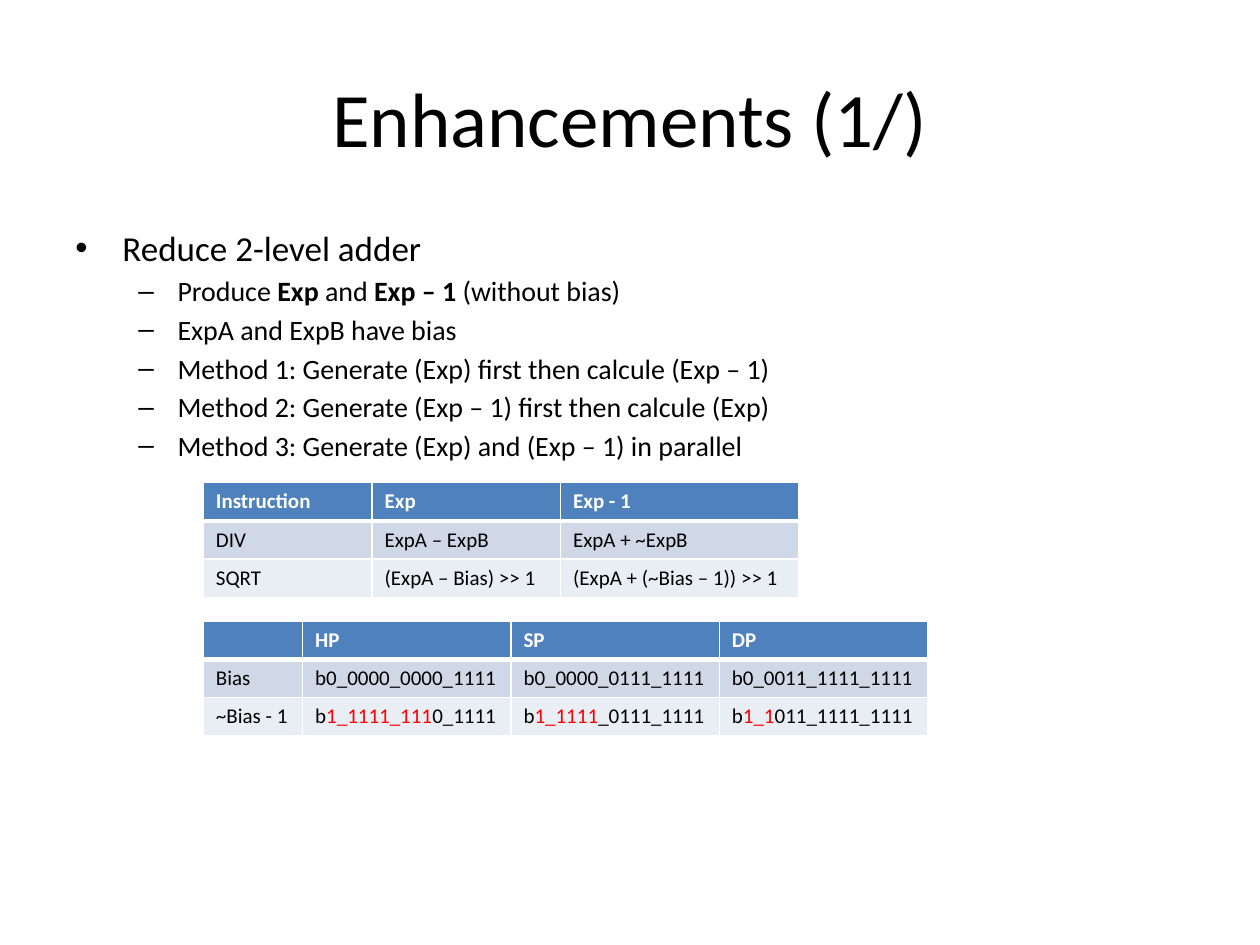
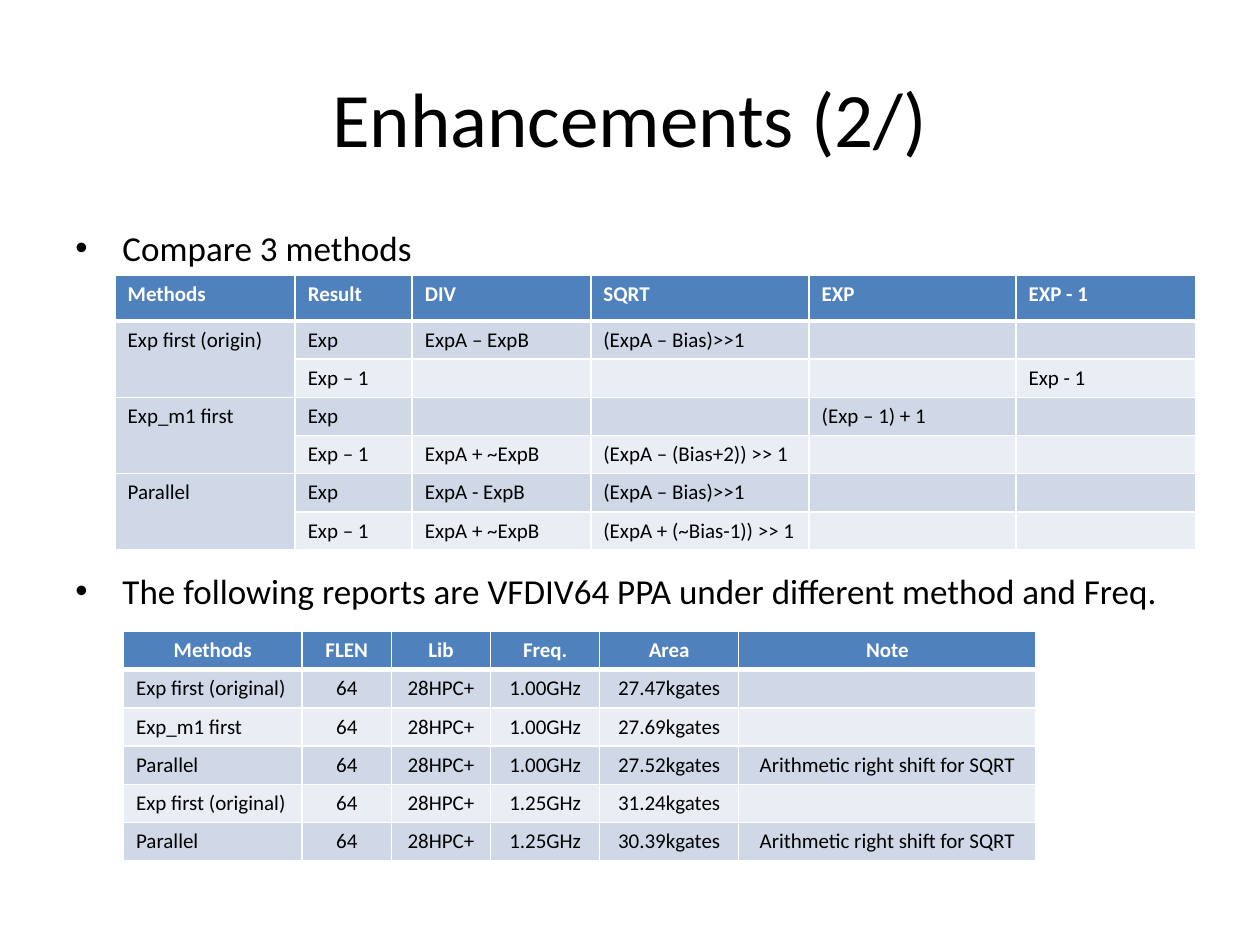
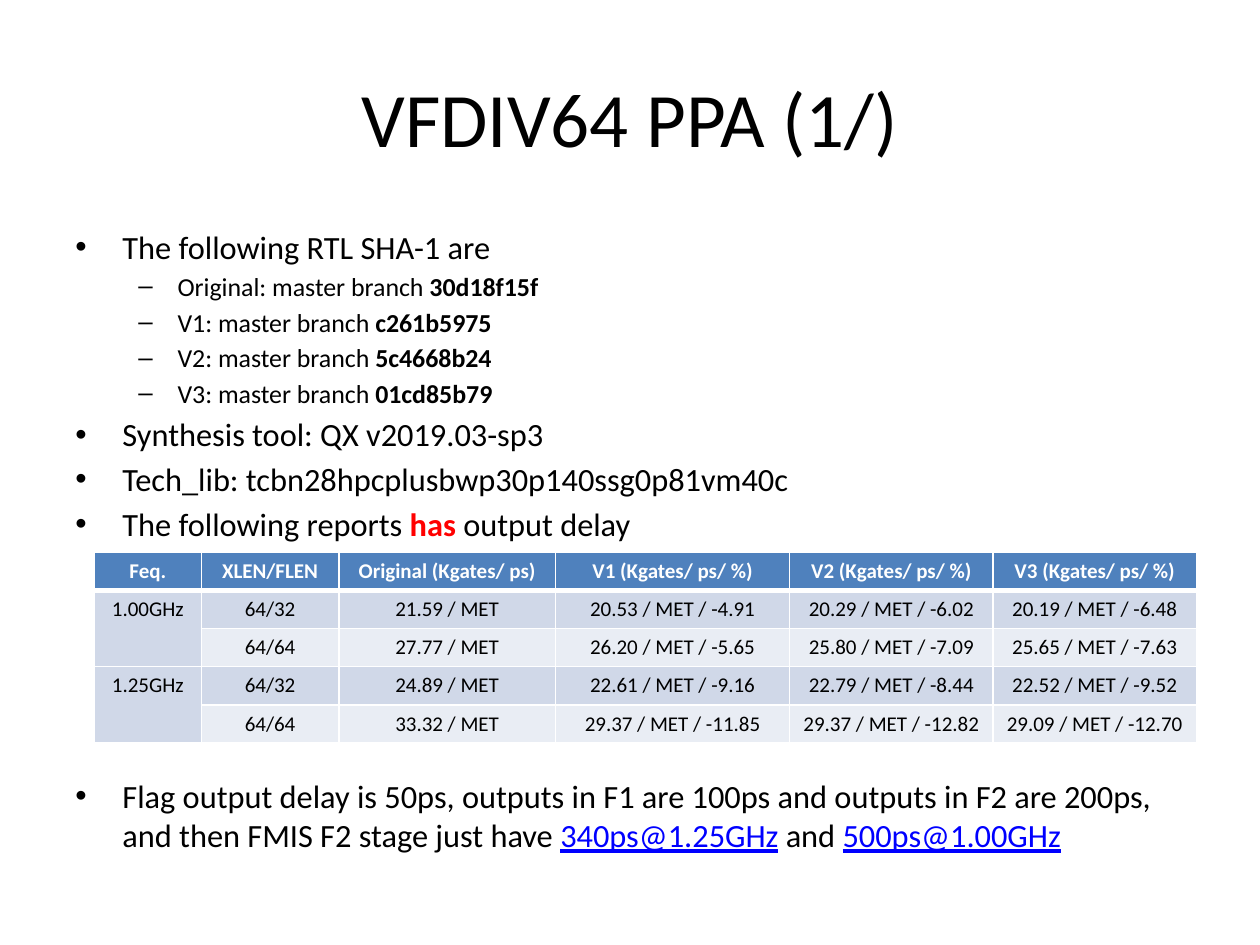
from lxml import etree
from pptx import Presentation
from pptx import util as u
from pptx.dml.color import RGBColor
from pptx.enum import text
from pptx.oxml import ns

COLORS = {"ink": "000000", "paper": "FFFFFF", "alert": "FF0000", "mark": "0000FF",
          "header": "4F81BD", "odd": "D0D8E8", "even": "E9EDF4"}
FONT = "Calibri"
STYLES = {
    "bold": {"bold": True},
    "red": {"color": "alert"},
    "bold red": {"bold": True, "color": "alert"},
    "underlined": {"underline": True, "color": "mark"},
}
# Bullet sign, left margin and hanging indent in cm, share of the main text size
LEVELS = [("•", 0.95, 0.95, 1), ("–", 2.06, 0.79, 0.8)]
SPACE_BEFORE = 0.18
CELL_SIZE = 12
ROW_HEIGHT = 0.77


def add_xml(parent, tag, **attributes):
    return etree.SubElement(parent, ns.qn(tag), attributes)


class Deck:
    def __init__(self):
        self.prs = Presentation()
        self.prs.slide_width, self.prs.slide_height = u.Cm(25.4), u.Cm(19.05)
        self.slide = None

    def add_runs(self, paragraph, content, **base):
        """Content is a string or a list of strings and (text, style) pairs."""
        for part in [content] if isinstance(content, str) else content:
            words, style = (part, None) if isinstance(part, str) else part
            run = paragraph.add_run()
            run.text = words
            look = {"name": FONT, "color": "ink", "bold": False, **base, **STYLES.get(style, {})}
            run.font.color.rgb = RGBColor.from_string(COLORS[look.pop("color")])
            for key, value in look.items():
                setattr(run.font, key, value)

    def add_slide(self, heading):
        self.slide = self.prs.slides.add_slide(self.prs.slide_layouts[5])
        title = self.slide.shapes.title
        place = {"left": 1.27, "top": 0.76, "width": 22.86, "height": 3.18}
        for key, value in place.items():
            setattr(title, key, u.Cm(value))
        title.text_frame.vertical_anchor = text.MSO_ANCHOR.MIDDLE
        paragraph = title.text_frame.paragraphs[0]
        paragraph.alignment = text.PP_ALIGN.CENTER
        self.add_runs(paragraph, heading, size=u.Pt(44))

    def add_bullets(self, items, size, width=23.04, gaps=None):
        """Items are (level, content); gaps maps an item's index to its space before in points."""
        box = self.slide.shapes.add_textbox(u.Cm(1.27), u.Cm(4.45), u.Cm(width), u.Cm(12.57))
        frame = box.text_frame
        frame.word_wrap = True
        for index, (level, content) in enumerate(items):
            paragraph = frame.add_paragraph() if index else frame.paragraphs[0]
            sign, margin, hanging, share = LEVELS[level]
            properties = paragraph._p.get_or_add_pPr()
            properties.set("marL", str(u.Cm(margin)))
            properties.set("indent", str(-u.Cm(hanging)))
            add_xml(properties, "a:buFont", typeface="Arial")
            add_xml(properties, "a:buChar", char=sign)
            paragraph.level = level
            if index:
                space = (gaps or {}).get(index, size * share * SPACE_BEFORE)
                paragraph.space_before = u.Pt(space)
            self.add_runs(paragraph, content, size=u.Pt(size * share))

    def set_borders(self, cell, row):
        properties = cell._tc.get_or_add_tcPr()
        top, bottom = (3 if row == 1 else 1), (3 if row == 0 else 1)
        for side, points in (("L", 1), ("R", 1), ("T", top), ("B", bottom)):
            line = add_xml(properties, "a:ln" + side, w=str(u.Pt(points)))
            add_xml(add_xml(line, "a:solidFill"), "a:srgbClr", val=COLORS["paper"])

    def add_table(self, left, top, widths, rows, header_height=ROW_HEIGHT, centered_from=None):
        """Draw a banded table; None joins a cell to the one above it."""
        heights = [header_height] + [ROW_HEIGHT] * (len(rows) - 1)
        table = self.slide.shapes.add_table(
            len(rows), len(widths), u.Cm(left), u.Cm(top),
            u.Cm(sum(widths)), u.Cm(sum(heights))).table
        for column, width in zip(table.columns, widths):
            column.width = u.Cm(width)
        for r, values in enumerate(rows):
            table.rows[r].height = u.Cm(heights[r])
            band = "header" if r == 0 else "odd" if r % 2 else "even"
            for c, value in enumerate(values):
                cell = table.cell(r, c)
                self.set_borders(cell, r)
                cell.fill.solid()
                cell.fill.fore_color.rgb = RGBColor.from_string(COLORS[band])
                if value is None:
                    table.cell(r - 1, c).merge(cell)
                paragraph = cell.text_frame.paragraphs[0]
                if centered_from is not None and (r == 0 or c >= centered_from):
                    paragraph.alignment = text.PP_ALIGN.CENTER
                if value:
                    self.add_runs(paragraph, value, size=u.Pt(CELL_SIZE), bold=r == 0,
                                  color="ink" if r else "paper")
                else:
                    add_xml(paragraph._p, "a:endParaRPr", sz=str(CELL_SIZE * 100))


def add_adder_slide(deck):
    deck.add_slide("Enhancements (1/)")
    deck.add_bullets([
        (0, "Reduce 2-level adder"),
        (1, ["Produce ", ("Exp", "bold"), " and ", ("Exp – 1 ", "bold"), "(without bias)"]),
        (1, "ExpA and ExpB have bias"),
        (1, "Method 1: Generate (Exp) first then calcule (Exp – 1)"),
        (1, "Method 2: Generate (Exp – 1) first then calcule (Exp)"),
        (1, "Method 3: Generate (Exp) and (Exp – 1) in parallel"),
    ], size=20)
    deck.add_table(4.1, 12.52, [2, 4.2, 4.2, 4.2], [
        ["", "HP", "SP", "DP"],
        ["Bias", "b0_0000_0000_1111", "b0_0000_0111_1111", "b0_0011_1111_1111"],
        ["~Bias - 1", ["b", ("1_1111_111", "red"), "0_1111"],
         ["b", ("1_1111", "red"), "_0111_1111"], ["b", ("1_1", "red"), "011_1111_1111"]],
    ])
    deck.add_table(4.1, 9.73, [3.4, 3.8, 4.8], [
        ["Instruction", "Exp", "Exp - 1"],
        ["DIV", "ExpA – ExpB", "ExpA + ~ExpB"],
        ["SQRT", "(ExpA – Bias) >> 1", "(ExpA + (~Bias – 1)) >> 1"],
    ])


def add_methods_slide(deck):
    deck.add_slide("Enhancements (2/)")
    deck.add_bullets([
        (0, "Compare 3 methods"),
        (0, "The following reports are VFDIV64 PPA under different method and Freq."),
    ], size=20, gaps={1: 171.5})
    deck.add_table(2.32, 5.54, [3.63, 2.36, 3.6, 4.4, 4.17, 3.63], [
        ["Methods", "Result", "DIV", "SQRT", "EXP", "EXP - 1"],
        ["Exp first (origin)", "Exp", "ExpA – ExpB", "(ExpA – Bias)>>1", "", ""],
        [None, "Exp – 1", "", "", "", "Exp - 1"],
        ["Exp_m1 first", "Exp", "", "", "(Exp – 1) + 1", ""],
        [None, "Exp – 1", "ExpA + ~ExpB", "(ExpA – (Bias+2)) >> 1", "", ""],
        ["Parallel", "Exp", "ExpA - ExpB", "(ExpA – Bias)>>1", "", ""],
        [None, "Exp – 1", "ExpA + ~ExpB", "(ExpA + (~Bias-1)) >> 1", "", ""],
    ], header_height=0.93)
    shift_note = "Arithmetic right shift for SQRT"
    reports = [
        ("Exp first (original)", "1.00GHz", "27.47kgates", ""),
        ("Exp_m1 first", "1.00GHz", "27.69kgates", ""),
        ("Parallel", "1.00GHz", "27.52kgates", shift_note),
        ("Exp first (original)", "1.25GHz", "31.24kgates", ""),
        ("Parallel", "1.25GHz", "30.39kgates", shift_note),
    ]
    deck.add_table(
        2.49, 12.73, [3.6, 1.8, 2, 2.2, 2.8, 6],
        [["Methods", "FLEN", "Lib", "Freq.", "Area", "Note"]]
        + [[method, "64", "28HPC+", *results] for method, *results in reports],
        centered_from=1)


def add_ppa_slide(deck):
    deck.add_slide("VFDIV64 PPA (1/)")
    commits = {"Original": "30d18f15f", "V1": "c261b5975", "V2": "5c4668b24", "V3": "01cd85b79"}
    deck.add_bullets([
        (0, "The following RTL SHA-1 are"),
        *[(1, [f"{version}: master branch ", (sha, "bold")]) for version, sha in commits.items()],
        (0, "Synthesis tool: QX v2019.03-sp3"),
        (0, "Tech_lib: tcbn28hpcplusbwp30p140ssg0p81vm40c"),
        (0, ["The following reports ", ("has ", "bold red"), "output delay"]),
        (0, ["Flag output delay is 50ps, outputs in F1 are 100ps and outputs in F2 are 200ps, "
             "and then FMIS F2 stage just have ", ("340ps@1.25GHz", "underlined"), " and ",
             ("500ps@1.00GHz", "underlined")]),
    ], size=18.5, width=22.86, gaps={8: 133.5})
    versions = [f"{version} (Kgates/ ps/ %)" for version in ("V1", "V2", "V3")]
    deck.add_table(1.9, 11.13, [2.16, 2.77, 4.37, 4.72, 4.1, 4.1], [
        ["Feq.", "XLEN/FLEN", "Original (Kgates/ ps)", *versions],
        ["1.00GHz", "64/32", "21.59 / MET",
         "20.53 / MET / -4.91", "20.29 / MET / -6.02", "20.19 / MET / -6.48"],
        [None, "64/64", "27.77 / MET",
         "26.20 / MET / -5.65", "25.80 / MET / -7.09", "25.65 / MET / -7.63"],
        ["1.25GHz", "64/32", "24.89 / MET",
         "22.61 / MET / -9.16", "22.79 / MET / -8.44", "22.52 / MET / -9.52"],
        [None, "64/64", "33.32 / MET",
         "29.37 / MET / -11.85", "29.37 / MET / -12.82", "29.09 / MET / -12.70"],
    ], centered_from=0)


def main():
    deck = Deck()
    add_adder_slide(deck)
    add_methods_slide(deck)
    add_ppa_slide(deck)
    deck.prs.save("out.pptx")


if __name__ == "__main__":
    main()
